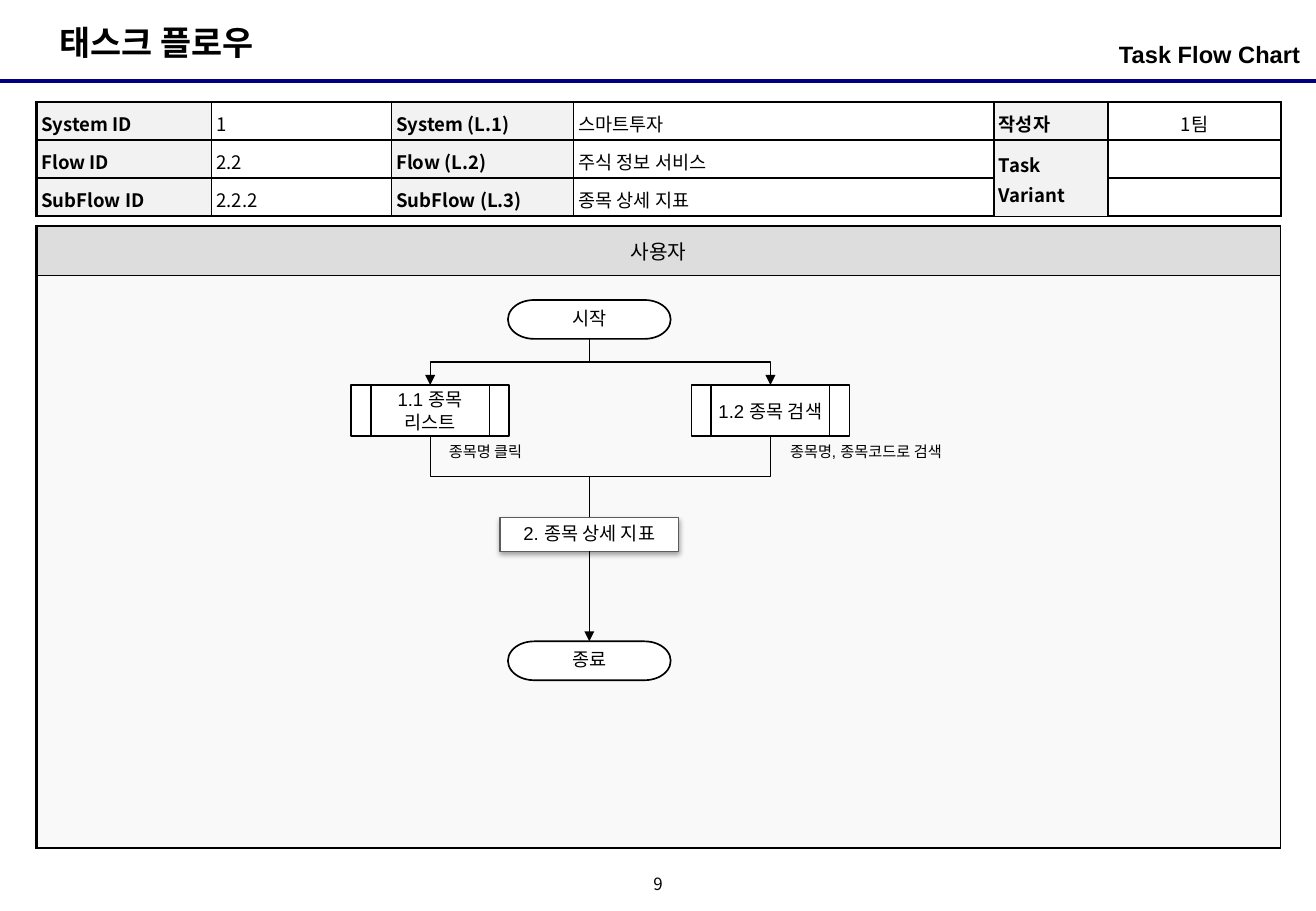
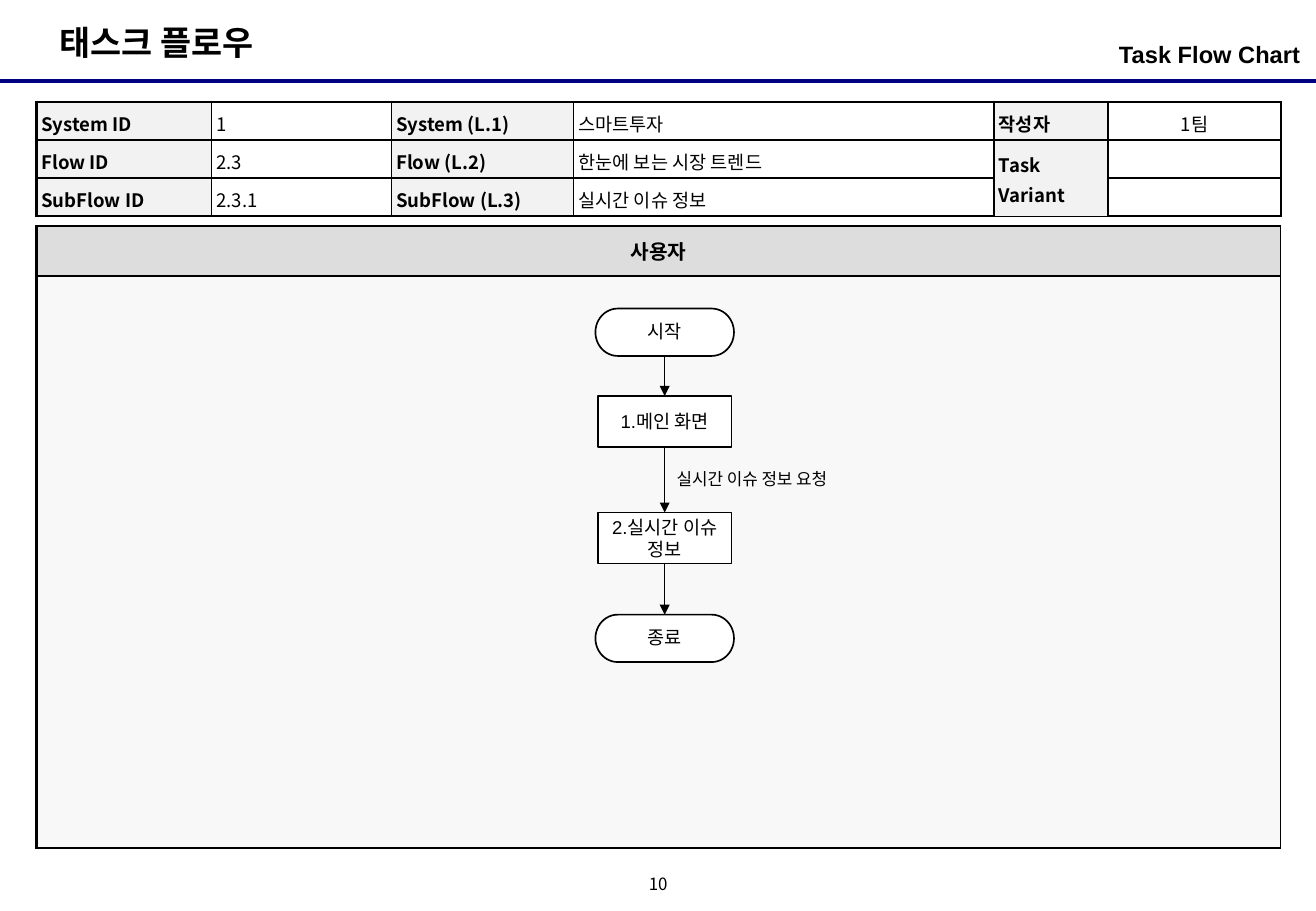
from lxml import etree
from pptx import Presentation
from pptx.dml.color import RGBColor
from pptx.enum.shapes import MSO_CONNECTOR, MSO_SHAPE
from pptx.enum.text import MSO_ANCHOR, PP_ALIGN
from pptx.oxml.ns import qn
from pptx.util import Emu, Inches, Pt

COLORS = {"ink": "000000", "rule": "000080", "paper": "FFFFFF", "label": "F2F2F2",
          "lane": "DDDDDD", "edge": "5C5C5C"}
HANGUL = "Noto Sans CJK KR"
TOP, BOTTOM = 0, 2  # connection sites

prs = Presentation()
prs.slide_width, prs.slide_height = Inches(10.83), Inches(7.5)
COL, ROW = prs.slide_width / 100, prs.slide_height / 100  # grid of 100 x 100


def at(x, y, w, h):
    """Turn grid columns and rows into left, top, width and height."""
    return Emu(int(x * COL)), Emu(int(y * ROW)), Emu(int(w * COL)), Emu(int(h * ROW))


def write(tf, text, size, font="Arial", bold=False, align=PP_ALIGN.LEFT, spacing=1.0):
    p = tf.paragraphs[0]
    p.text = text
    p.alignment, p.line_spacing, p.space_before = align, spacing, Pt(0)
    for r in p.runs:
        r.font.size, r.font.name, r.font.bold = Pt(size), font, bold
        r.font.color.rgb = RGBColor.from_string(COLORS["ink"])
        etree.SubElement(r._r.get_or_add_rPr(), qn("a:ea"), typeface=HANGUL)
    return p


# kind: preset, width, height, line width, line spacing
KINDS = {
    "terminal": (MSO_SHAPE.FLOWCHART_TERMINATOR, 12.37, 4.27, 1, 0.9),
    "predefined": (MSO_SHAPE.FLOWCHART_PREDEFINED_PROCESS, 12, 5.6, 1, 1.0),
    "detail": (MSO_SHAPE.FLOWCHART_PROCESS, 13.57, 3.73, 0.75, 0.9),
    "short terminal": (MSO_SHAPE.FLOWCHART_TERMINATOR, 10.53, 5.2, 1, 0.9),
    "screen": (MSO_SHAPE.RECTANGLE, 10.16, 5.6, 1, 1.0),
}
INFO_COLS = [13.3, 13.67, 13.85, 31.95, 8.68, 13.11]
LEFT, WIDTH = 2.77, sum(INFO_COLS)
INFO_TOP, INFO_ROW = 11.2, 4.18
LANE_TOP, LANE_ROWS = 24.8, [5.47, 62.8]
MAIN, LIST, SEARCH, ISSUE = 44.78, 32.69, 58.54, 50.51  # centre lines of the flows

# nodes: kind, centre x, top, text; links: from, to, arrowhead
# labels: x, y, width, height, text, size, alignment
PAGES = [
    {"number": "9", "ids": ["2.2", "2.2.2"], "names": ["주식 정보 서비스", "종목 상세 지표"],
     "fill": "F9F9F9", "bold": False, "divider": 0.75,
     "nodes": {"start": ("terminal", MAIN, 32.93, "시작"),
               "list": ("predefined", LIST, 42.27, "1.1 종목 리스트"),
               "search": ("predefined", SEARCH, 42.27, "1.2 종목 검색"),
               "detail": ("detail", MAIN, 56.8, "2. 종목 상세 지표"),
               "end": ("terminal", MAIN, 70.4, "종료")},
     "links": [("start", "list", True), ("start", "search", True),
               ("list", "detail", False), ("search", "detail", False),
               ("detail", "end", True)],
     "labels": [(32.69, 47.87, 8.4, 3.33, "종목명 클릭", 9, PP_ALIGN.CENTER),
                (58.54, 47.87, 14.5, 3.33, "종목명, 종목코드로 검색", 9, PP_ALIGN.CENTER)]},
    {"number": "10", "ids": ["2.3", "2.3.1"],
     "names": ["한눈에 보는 시장 트렌드", "실시간 이슈 정보"],
     "fill": "F8F8F8", "bold": True, "divider": 1.5,
     "nodes": {"start": ("short terminal", ISSUE, 33.87, "시작"),
               "main": ("screen", ISSUE, 43.47, "1.메인 화면"),
               "issue": ("screen", ISSUE, 56.27, "2.실시간 이슈 정보"),
               "end": ("short terminal", ISSUE, 67.47, "종료")},
     "links": [("start", "main", True), ("main", "issue", True), ("issue", "end", True)],
     "labels": [(50.51, 50.8, 15.05, 3.6, "실시간 이슈 정보 요청", 10, PP_ALIGN.LEFT)]},
]

for page in PAGES:
    s = prs.slides.add_slide(prs.slide_layouts[1])

    # Header and page number
    title, body = s.shapes.title, s.placeholders[1]
    title.left, title.top, title.width, title.height = at(3.6, 1.73, 18.28, 5.87)
    body.left, body.top, body.width, body.height = at(68.24, 3.73, 30.56, 5.2)
    title.text_frame.vertical_anchor = body.text_frame.vertical_anchor = MSO_ANCHOR.TOP
    body.text_frame.margin_left = body.text_frame.margin_right = 0
    write(title.text_frame, "태스크 플로우", 20, bold=True)
    p = write(body.text_frame, "Task Flow Chart", 14, bold=True, align=PP_ALIGN.RIGHT)
    pPr = p._p.get_or_add_pPr()
    pPr.set("marL", "0")
    pPr.set("indent", "0")
    etree.SubElement(pPr, qn("a:buNone"))

    x, y, w, _ = at(0, 8.93, 100, 0)
    rule = s.shapes.add_connector(MSO_CONNECTOR.STRAIGHT, x, y, w, y)
    rule.line.color.rgb = RGBColor.from_string(COLORS["rule"])
    rule.line.width = Pt(2.25)
    etree.SubElement(rule._element.spPr, qn("a:effectLst"))

    tf = s.shapes.add_textbox(*at(48.48, 95.6, 3.05, 3.33)).text_frame
    tf.margin_left = tf.margin_right = tf.margin_top = tf.margin_bottom = 0
    tf.vertical_anchor = MSO_ANCHOR.MIDDLE
    write(tf, page["number"], 10, HANGUL, align=PP_ALIGN.CENTER, spacing=0.8)

    # Swimlane and information tables
    lane = s.shapes.add_table(2, 1, *at(LEFT, LANE_TOP, WIDTH, sum(LANE_ROWS))).table
    info = s.shapes.add_table(3, 6, *at(LEFT, INFO_TOP, WIDTH, 3 * INFO_ROW)).table
    for row, height in zip(lane.rows, LANE_ROWS):
        row.height = Emu(int(height * ROW))
    for col, width in zip(info.columns, INFO_COLS):
        col.width = Emu(int(width * COL))

    for i, fill in enumerate([COLORS["lane"], page["fill"]]):
        cell = lane.cell(i, 0)
        cell.vertical_anchor = MSO_ANCHOR.MIDDLE
        cell.fill.solid()
        cell.fill.fore_color.rgb = RGBColor.from_string(fill)
    write(lane.cell(0, 0).text_frame, "사용자", 12, bold=page["bold"], align=PP_ALIGN.CENTER)

    (flow_id, sub_id), (flow, sub) = page["ids"], page["names"]
    rows = [["System ID", "1", "System (L.1)", "스마트투자", "작성자", "1팀"],
            ["Flow ID", flow_id, "Flow (L.2)", flow, "Task Variant", ""],
            ["SubFlow ID", sub_id, "SubFlow (L.3)", sub, "", ""]]
    info.cell(1, 4).merge(info.cell(2, 4))
    for i, texts in enumerate(rows):
        for j, text in enumerate(texts):
            cell, is_label = info.cell(i, j), j % 2 == 0
            cell.margin_left = cell.margin_right = Inches(0.04)
            cell.margin_top = cell.margin_bottom = Inches(0.04)
            cell.vertical_anchor = MSO_ANCHOR.MIDDLE if j > 3 else MSO_ANCHOR.TOP
            cell.fill.solid()
            cell.fill.fore_color.rgb = RGBColor.from_string(
                COLORS["label" if is_label else "paper"])
            align = PP_ALIGN.CENTER if j == 5 else PP_ALIGN.LEFT
            p = write(cell.text_frame, text, 11, HANGUL, is_label, align, 1.1)
            if not text:
                etree.SubElement(p._p, qn("a:endParaRPr"), sz="1100")

    for table, right, inner in [(lane, 0.75, page["divider"]), (info, 1.5, 1)]:
        table.first_row = table.horz_banding = False
        last_row, last_col = len(table.rows) - 1, len(table.columns) - 1
        for i in range(last_row + 1):
            for j in range(last_col + 1):
                tcPr = table.cell(i, j)._tc.get_or_add_tcPr()
                edges = [("L", inner if j else 1.5), ("R", inner if j < last_col else right),
                         ("T", inner if i else 1.5), ("B", inner if i < last_row else 1.5)]
                for k, (side, width) in enumerate(edges):
                    ln = etree.Element(qn(f"a:ln{side}"), w=str(Pt(width)))
                    fill = etree.SubElement(ln, qn("a:solidFill"))
                    etree.SubElement(fill, qn("a:srgbClr"), val=COLORS["ink"])
                    tcPr.insert(k, ln)

    # Flow chart
    nodes = {}
    for name, (kind, centre, top, text) in page["nodes"].items():
        preset, w, h, line, spacing = KINDS[kind]
        sp = s.shapes.add_shape(preset, *at(centre - w / 2, top, w, h))
        sp.shadow.inherit = False
        sp.fill.solid()
        sp.fill.fore_color.rgb = RGBColor.from_string(COLORS["paper"])
        sp.line.color.rgb = RGBColor.from_string(COLORS["edge" if kind == "detail" else "ink"])
        sp.line.width = Pt(line)
        tf = sp.text_frame
        tf.margin_left = tf.margin_right = Inches(0.02)
        tf.margin_top = tf.margin_bottom = 0
        tf.vertical_anchor, tf.word_wrap = MSO_ANCHOR.MIDDLE, True
        write(tf, text, 11, align=PP_ALIGN.CENTER, spacing=spacing)
        if kind == "detail":
            shadow = etree.SubElement(
                sp._element.spPr.find(qn("a:effectLst")), qn("a:outerShdw"),
                blurRad=str(Pt(3.1)), dist=str(Pt(1.6)), dir="5400000", rotWithShape="0")
            color = etree.SubElement(shadow, qn("a:srgbClr"), val=COLORS["ink"])
            etree.SubElement(color, qn("a:alpha"), val="37000")
        nodes[name] = sp

    for start, end, arrow in page["links"]:
        a, b = nodes[start], nodes[end]
        dx = b.left + b.width // 2 - a.left - a.width // 2
        bent = abs(dx) > COL
        c = s.shapes.add_connector(
            MSO_CONNECTOR.ELBOW if bent else MSO_CONNECTOR.STRAIGHT, 0, 0, 0, 0)
        c.begin_connect(a, BOTTOM)
        c.end_connect(b, TOP)
        if bent:  # turn the elbow so that it leaves and arrives vertically
            mid_x, mid_y = c.left + c.width // 2, c.top + c.height // 2
            c.width, c.height = c.height, c.width
            c.left, c.top = mid_x - c.width // 2, mid_y - c.height // 2
            xfrm = c._element.spPr.find(qn("a:xfrm"))
            xfrm.set("rot", "16200000" if dx > 0 else "5400000")
            xfrm.set("flipH", "1" if dx > 0 else "0")
        c.line.color.rgb = RGBColor.from_string(COLORS["ink"])
        c.line.width = Pt(0.75)
        if arrow:
            etree.SubElement(c.line._get_or_add_ln(), qn("a:tailEnd"), type="triangle")
        etree.SubElement(c._element.spPr, qn("a:effectLst"))

    for x, y, w, h, text, size, align in page["labels"]:
        tf = s.shapes.add_textbox(*at(x, y, w, h)).text_frame
        tf.word_wrap, tf.vertical_anchor = False, MSO_ANCHOR.MIDDLE
        write(tf, text, size, align=align)

prs.save("out.pptx")
